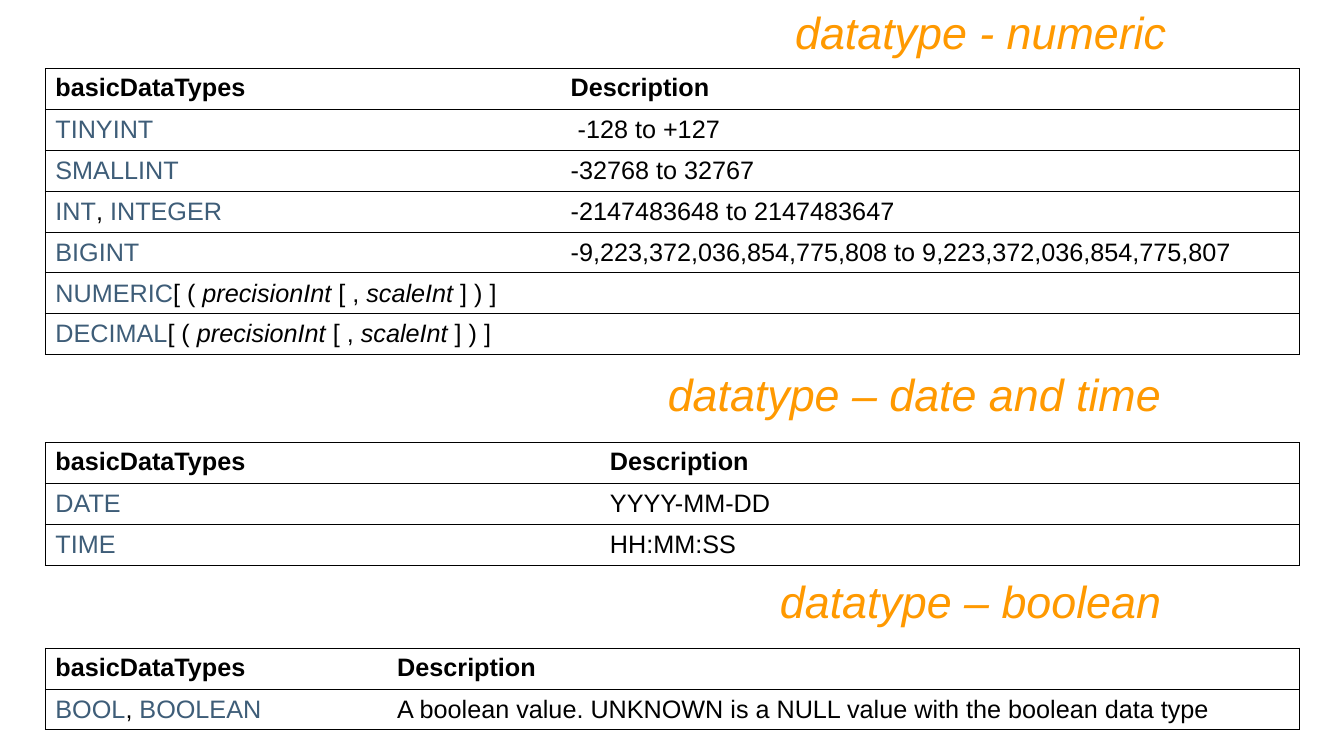
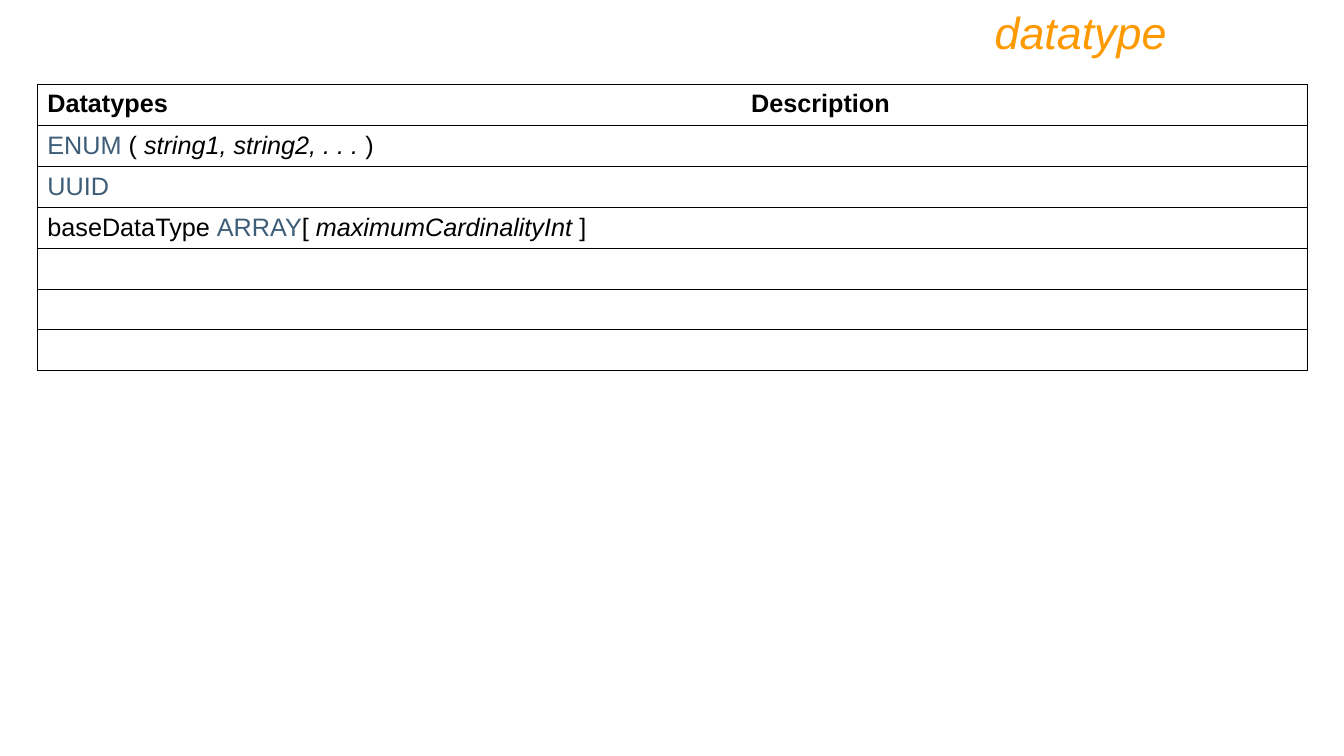
from dataclasses import dataclass

from lxml.etree import SubElement
from pptx import Presentation
from pptx.dml.color import RGBColor as RGB
from pptx.enum.text import MSO_ANCHOR as ANCHOR, PP_ALIGN as ALIGN
from pptx.oxml.ns import qn
from pptx.util import Inches, Pt


@dataclass(frozen=True)
class Theme:
    font: str = "Arial"
    title_size: int = 32
    body_size: int = 18
    line_width: float = 0.75
    title: str = "FF9900"
    keyword: str = "3E5D78"
    text: str = "000000"
    paper: str = "FFFFFF"


THEME = Theme()
ROW_HEIGHT = 2.84 / 7


def kw(text):
    return text, "keyword"


def it(text):
    return text, "italic"


def style_font(font, size, color, bold=False, italic=False):
    font.name = THEME.font
    font.size = Pt(size)
    font.bold = bold
    font.italic = italic
    font.color.rgb = RGB.from_string(color)


def add_title(s, text, left, top):
    box = s.shapes.add_textbox(Inches(left), Inches(top), Inches(10), Inches(0.64))
    tf = box.text_frame
    tf.word_wrap = True
    p = tf.paragraphs[0]
    p.alignment = ALIGN.RIGHT
    p.add_run().text = text
    style_font(p.font, THEME.title_size, THEME.title, italic=True)


def set_borders(cell, visible):
    tc_pr = cell._tc.get_or_add_tcPr()
    for side in "LRTB":
        ln = SubElement(tc_pr, qn(f"a:ln{side}"), w=str(Pt(THEME.line_width)))
        if side in visible:
            fill = SubElement(ln, qn("a:solidFill"))
            SubElement(fill, qn("a:srgbClr"), val=THEME.text)
        else:
            SubElement(ln, qn("a:noFill"))


def fill_cell(cell, parts, header):
    cell.vertical_anchor = ANCHOR.TOP if header else ANCHOR.MIDDLE
    p = cell.text_frame.paragraphs[0]
    style_font(p.font, THEME.body_size, THEME.text, bold=header)
    for part in parts:
        text, style = (part, None) if isinstance(part, str) else part
        r = p.add_run()
        r.text = text
        if style == "keyword":
            r.font.color.rgb = RGB.from_string(THEME.keyword)
        elif style == "italic":
            r.font.italic = True


def add_type_table(s, left, top, widths, heading, rows):
    rows = [([heading], ["Description"]), *rows]
    frame = s.shapes.add_table(
        len(rows), len(widths), Inches(left), Inches(top),
        Inches(sum(widths)), Inches(ROW_HEIGHT * len(rows)))
    table = frame.table
    table.first_row = table.horz_banding = False
    for column, width in zip(table.columns, widths):
        column.width = Inches(width)
    for i, row in enumerate(rows):
        table.rows[i].height = Inches(ROW_HEIGHT)
        for j, parts in enumerate(row):
            cell = table.cell(i, j)
            set_borders(cell, "LTB" if j == 0 else "RTB")
            cell.fill.solid()
            cell.fill.fore_color.rgb = RGB.from_string(THEME.paper)
            fill_cell(cell, parts, header=i == 0)


def build_basic_types(s):
    precision = ["[ ( ", it("precisionInt"), " [ , ", it("scaleInt"), " ] ) ]"]
    add_title(s, "datatype - numeric", 1.67, 0)
    add_type_table(s, 0.45, 0.68, (5.11, 7.33), "basicDataTypes", [
        ([kw("TINYINT")], [" -128 to +127"]),
        ([kw("SMALLINT")], ["-32768 to 32767"]),
        ([kw("INT"), ", ", kw("INTEGER")], ["-2147483648 to 2147483647"]),
        ([kw("BIGINT")],
         ["-9,223,372,036,854,775,808 to 9,223,372,036,854,775,807"]),
        ([kw("NUMERIC"), *precision], []),
        ([kw("DECIMAL"), *precision], []),
    ])
    add_title(s, "datatype – date and time", 1.62, 3.59)
    add_type_table(s, 0.45, 4.39, (5.5, 6.94), "basicDataTypes", [
        ([kw("DATE")], ["YYYY-MM-DD"]),
        ([kw("TIME")], ["HH:MM:SS"]),
    ])
    add_title(s, "datatype – boolean", 1.62, 5.64)
    add_type_table(s, 0.45, 6.43, (3.39, 9.05), "basicDataTypes", [
        ([kw("BOOL"), ",", kw(" BOOLEAN")],
         ["A boolean value. UNKNOWN is a NULL value with the boolean data type"]),
    ])


def build_other_types(s):
    add_title(s, "datatype", 1.67, 0)
    add_type_table(s, 0.37, 0.84, (6.98, 5.62), "Datatypes", [
        ([kw("ENUM "), "( ", it("string1, string2, . . ."), " )"], []),
        ([kw("UUID")], []),
        (["baseDataType ", kw("ARRAY"), "[ ", it("maximumCardinalityInt"), " ]"], []),
        *[([], [])] * 3,
    ])


def main():
    prs = Presentation()
    prs.slide_width, prs.slide_height = Inches(13.33), Inches(7.5)
    for build in (build_basic_types, build_other_types):
        build(prs.slides.add_slide(prs.slide_layouts[6]))
    prs.save("out.pptx")


if __name__ == "__main__":
    main()
